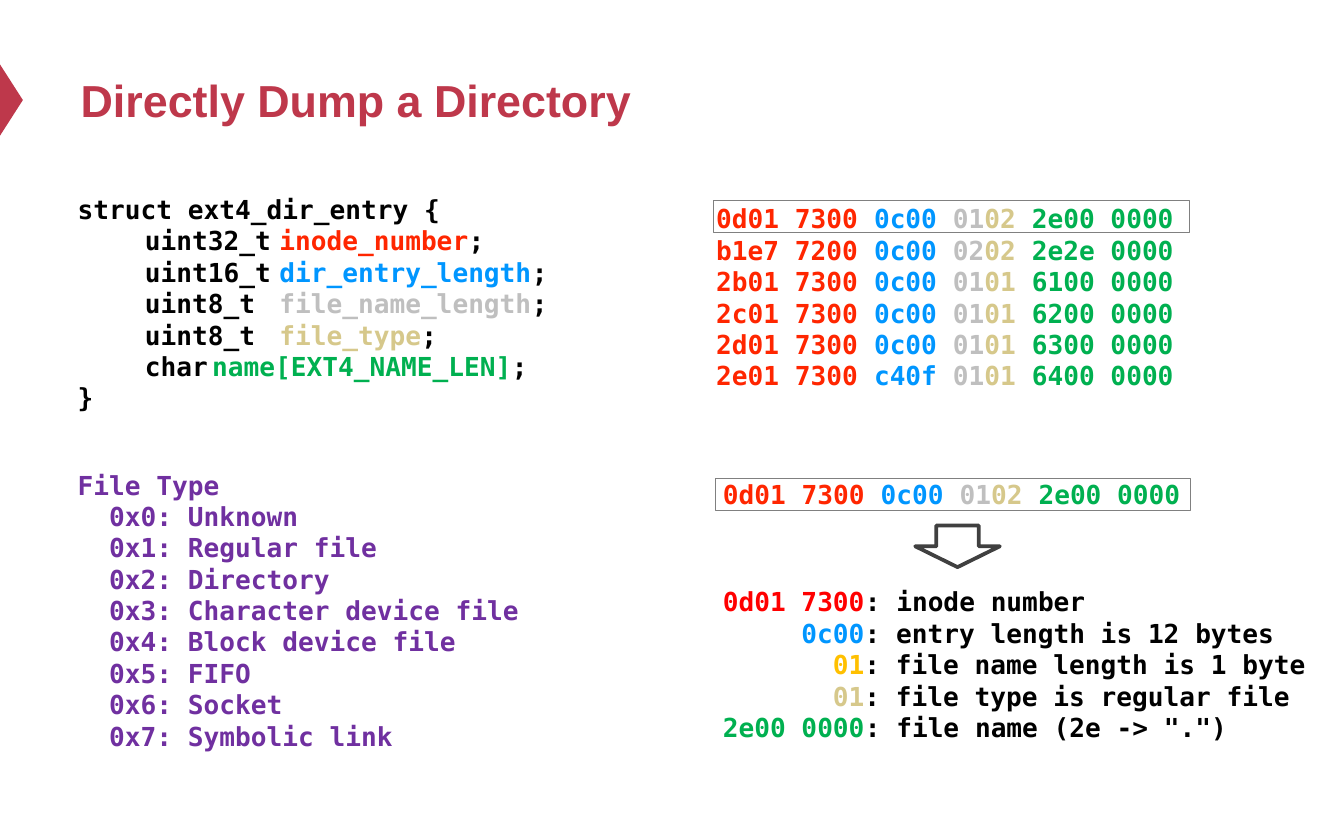
from lxml.etree import SubElement
from pptx import Presentation
from pptx.dml.color import RGBColor
from pptx.enum.shapes import MSO_SHAPE
from pptx.enum.text import MSO_ANCHOR, PP_ALIGN
from pptx.oxml.ns import qn
from pptx.util import Inches, Pt

BRAND = RGBColor(0xBE, 0x38, 0x4B)
BLACK = RGBColor(0, 0, 0)
RED = RGBColor(0xFF, 0x26, 0)
PURE = RGBColor(0xFF, 0, 0)
BLUE = RGBColor(0, 0x96, 0xFF)
SILVER = RGBColor(0xBF, 0xBF, 0xBF)
SAND = RGBColor(0xD6, 0xC8, 0x8B)
GREEN = RGBColor(0, 0xB0, 0x50)
GOLD = RGBColor(0xFF, 0xC0, 0)
PURPLE = RGBColor(0x70, 0x30, 0xA0)
GRAY = RGBColor(0x80, 0x80, 0x80)
DARK = RGBColor(0x40, 0x40, 0x40)

MONO = "DejaVu Sans Mono"
CHAR = Pt(14 * 0.602)

FIELDS = [
    ("uint32_t", "inode_number", RED),
    ("uint16_t", "dir_entry_length", BLUE),
    ("uint8_t", "file_name_length", SILVER),
    ("uint8_t", "file_type", SAND),
    ("char", "name[EXT4_NAME_LEN]", GREEN),
]
DUMP = [
    ("0d01 7300 ", "0c00 ", "01", "02 ", "2e00 0000 "),
    ("b1e7 7200 ", "0c00 ", "02", "02 ", "2e2e 0000 "),
    ("2b01 7300 ", "0c00 ", "01", "01 ", "6100 0000 "),
    ("2c01 7300 ", "0c00 ", "01", "01 ", "6200 0000 "),
    ("2d01 7300 ", "0c00 ", "01", "01 ", "6300 0000 "),
    ("2e01 7300 ", "c40f ", "01", "01 ", "6400 0000 "),
]
TYPES = ["Unknown", "Regular file", "Directory", "Character device file",
         "Block device file", "FIFO", "Socket", "Symbolic link"]
LEGEND = [
    ("0d01 7300", PURE, "inode number"),
    ("0c00", BLUE, "entry length is 12 bytes"),
    ("01", GOLD, "file name length is 1 byte"),
    ("01", SAND, "file type is regular file"),
    ("2e00 0000", GREEN, 'file name (2e -> ".")'),
]


def add_run(para, text, color, font=MONO, size=14):
    """Append one bold run to a paragraph."""
    run = para.add_run()
    run.text = text
    run.font.name = font
    run.font.size = Pt(size)
    run.font.bold = True
    run.font.color.rgb = color


def add_lines(slide, box, lines, align=PP_ALIGN.LEFT, tabs=()):
    """Add a text box from (indent in characters, runs) lines."""
    frame = slide.shapes.add_textbox(*map(Inches, box)).text_frame
    frame.word_wrap = True
    for i, (indent, runs) in enumerate(lines):
        para = frame.add_paragraph() if i else frame.paragraphs[0]
        para.alignment = align
        para.line_spacing = Pt(16.8)
        props = para._p.get_or_add_pPr()
        props.set("marL", str(indent * CHAR))
        props.set("indent", "0")
        if tabs:
            stops = SubElement(props, qn("a:tabLst"))
            for stop in tabs:
                SubElement(stops, qn("a:tab"), pos=str(stop * CHAR), algn="l")
        for text, color in runs:
            add_run(para, text, color)


def add_shape(slide, kind, box, fill=None, line=None, width=0.25):
    """Add a flat preset shape with an optional fill and outline."""
    shape = slide.shapes.add_shape(kind, *map(Inches, box))
    shape.shadow.inherit = False
    if fill is None:
        shape.fill.background()
    else:
        shape.fill.solid()
        shape.fill.fore_color.rgb = fill
    if line is None:
        shape.line.fill.background()
    else:
        shape.line.color.rgb = line
        shape.line.width = Pt(width)
    return shape


def add_title(slide, box):
    """Place the title and the marker at the slide's left edge."""
    mark = add_shape(slide, MSO_SHAPE.ISOSCELES_TRIANGLE,
                     (-0.18, 0.66, 0.53, 0.17), fill=BRAND)
    mark.rotation = 90
    title = slide.shapes.title
    title.left, title.top, title.width, title.height = map(Inches, box)
    frame = title.text_frame
    frame.vertical_anchor = MSO_ANCHOR.MIDDLE
    para = frame.paragraphs[0]
    para.alignment = PP_ALIGN.LEFT
    add_run(para, "Directly Dump a Directory", BRAND, "Arial", 24)


def add_struct(slide, box):
    """Write the struct with its fields on tab stops."""
    lines = [(0, [("struct ext4_dir_entry {", BLACK)])]
    for kind, name, color in FIELDS:
        lines.append((0, [(f"\t{kind}\t", BLACK), (name, color), (";", BLACK)]))
    lines.append((0, [("}", BLACK)]))
    add_lines(slide, box, lines, tabs=(2, 11))


def add_types(slide, box):
    """List the file type codes."""
    lines = [(0, [("File Type", PURPLE)])]
    lines += [(2, [(f"0x{i}: {name}", PURPLE)]) for i, name in enumerate(TYPES)]
    add_lines(slide, box, lines)


def add_dump(slide, box, rows, frame):
    """Write hex rows coloured by field and frame the first row."""
    colors = (RED, BLUE, SILVER, SAND, GREEN)
    lines = [(0, list(zip(row, colors))) for row in rows]
    add_lines(slide, box, lines, PP_ALIGN.CENTER)
    add_shape(slide, MSO_SHAPE.RECTANGLE, frame, line=GRAY)


def add_legend(slide, box):
    """Explain each field, with the colons lined up."""
    wide = max(len(code) for code, _, _ in LEGEND)
    lines = [(wide - len(code), [(code, color), (f": {note}", BLACK)])
             for code, color, note in LEGEND]
    add_lines(slide, box, lines)


def main():
    """Build and save the slide."""
    deck = Presentation()
    deck.slide_width, deck.slide_height = Inches(10), Inches(6.25)
    slide = deck.slides.add_slide(deck.slide_layouts[5])
    add_title(slide, (0.5, 0.25, 9, 0.98))
    add_struct(slide, (0.48, 1.39, 5.28, 1.75))
    add_types(slide, (0.48, 3.44, 4.02, 2.22))
    add_dump(slide, (5, 1.46, 4.18, 1.51), DUMP, (5.31, 1.49, 3.54, 0.24))
    add_dump(slide, (5.05, 3.51, 4.18, 0.34), DUMP[:1], (5.32, 3.56, 3.54, 0.24))
    add_shape(slide, MSO_SHAPE.DOWN_ARROW, (6.81, 3.91, 0.63, 0.31),
              line=DARK, width=2)
    add_legend(slide, (5.28, 4.31, 5.2, 1.28))
    deck.save("out.pptx")


if __name__ == "__main__":
    main()
